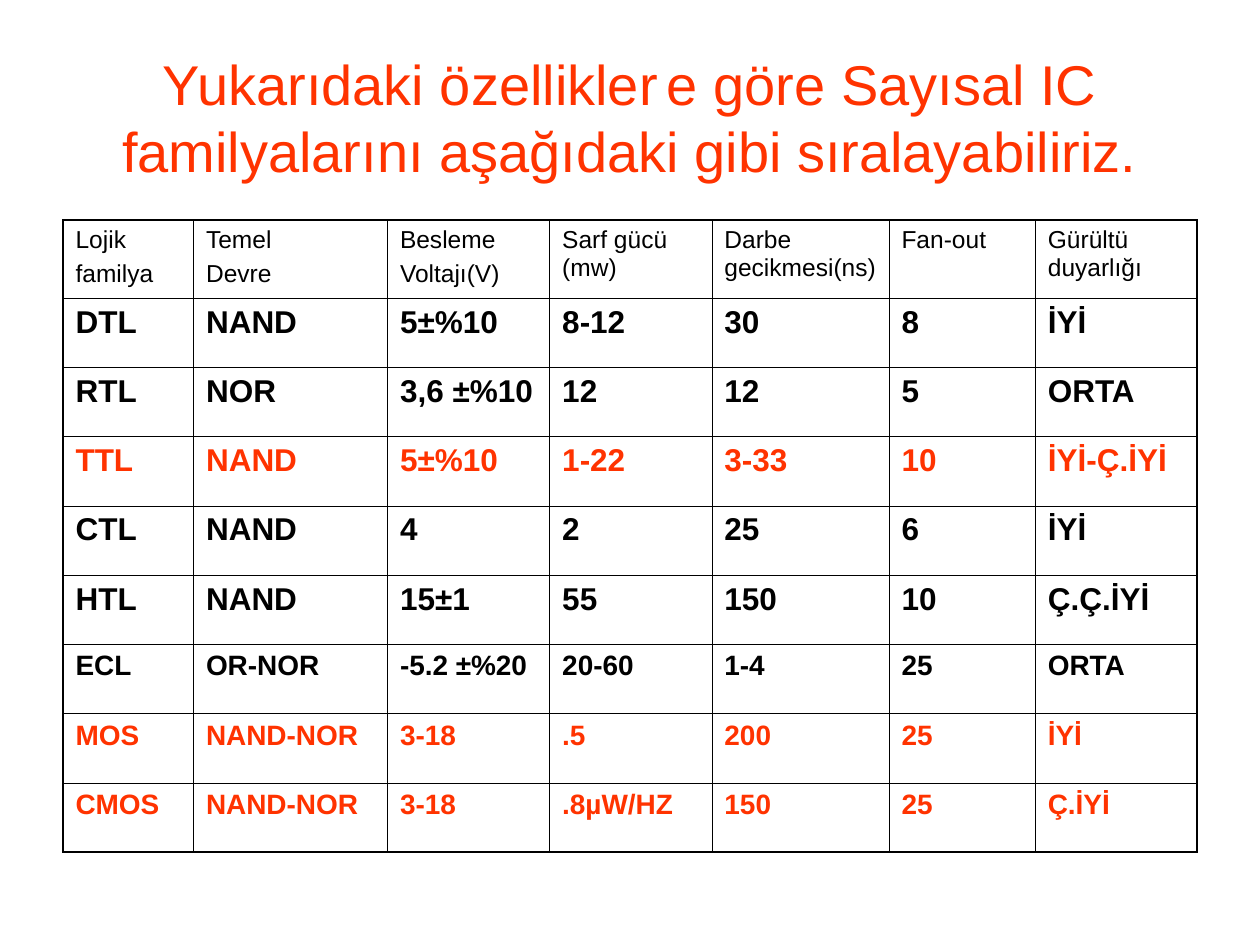
"""Build a slide that ranks the digital IC families in a table."""
from collections import namedtuple
from lxml.etree import SubElement
from pptx import Presentation
from pptx.dml.color import RGBColor
from pptx.enum.text import MSO_ANCHOR, MSO_AUTO_SIZE, PP_ALIGN
from pptx.oxml.ns import qn
from pptx.util import Cm, Pt

Theme = namedtuple("Theme", "font red black title head large small thin thick")
theme = Theme("Arial", RGBColor(255, 51, 0), RGBColor(0, 0, 0),
              Pt(32), Pt(14), Pt(18), Pt(16), Pt(0.45), Pt(1.08))


def style(para, size, color, bold=False):
    for run in para.runs:
        run.font.name = theme.font
        run.font.size = size
        run.font.bold = bold
        run.font.color.rgb = color


def border(cell, side, width):
    line = SubElement(cell._tc.get_or_add_tcPr(), qn("a:ln" + side), w=str(width))
    fill = SubElement(line, qn("a:solidFill"))
    SubElement(fill, qn("a:srgbClr"), val=str(theme.black))


deck = Presentation()
deck.slide_width, deck.slide_height = Cm(25.4), Cm(19.05)
slide = deck.slides.add_slide(deck.slide_layouts[5])

title = slide.shapes.title
title.left, title.top, title.width, title.height = Cm(1.27), Cm(0.76), Cm(22.86), Cm(3.18)
frame = title.text_frame
frame.text = "Yukarıdaki özellikler\te göre Sayısal IC familyalarını aşağıdaki gibi sıralayabiliriz."
frame.word_wrap = True
frame.auto_size = MSO_AUTO_SIZE.NONE
frame.vertical_anchor = MSO_ANCHOR.MIDDLE
para = frame.paragraphs[0]
para.alignment = PP_ALIGN.CENTER
tabs = SubElement(para._p.get_or_add_pPr(), qn("a:tabLst"))
for stop in range(8):
    SubElement(tabs, qn("a:tab"), pos=str(Cm(2.54 * stop)), algn="l")
style(para, theme.title, theme.red)

rows = [
    ["Lojik\nfamilya", "Temel\nDevre", "Besleme\nVoltajı(V)", "Sarf gücü (mw)",
     "Darbe gecikmesi(ns)", "Fan-out", "Gürültü duyarlığı"],
    ["DTL", "NAND", "5±%10", "8-12", "30", "8", "İYİ"],
    ["RTL", "NOR", "3,6 ±%10", "12", "12", "5", "ORTA"],
    ["TTL", "NAND", "5±%10", "1-22", "3-33", "10", "İYİ-Ç.İYİ"],
    ["CTL", "NAND", "4", "2", "25", "6", "İYİ"],
    ["HTL", "NAND", "15±1", "55", "150", "10", "Ç.Ç.İYİ"],
    ["ECL", "OR-NOR", "-5.2 ±%20", "20-60", "1-4", "25", "ORTA"],
    ["MOS", "NAND-NOR", "3-18", ".5", "200", "25", "İYİ"],
    ["CMOS", "NAND-NOR", "3-18", ".8µW/HZ", "150", "25", "Ç.İYİ"],
]
widths = [2.63, 3.91, 3.27, 3.27, 3.57, 2.95, 3.26]
marked = {"TTL", "MOS", "CMOS"}
compact = {"ECL", "MOS", "CMOS"}
last_row, last_col = len(rows) - 1, len(widths) - 1

table = slide.shapes.add_table(len(rows), len(widths), Cm(1.27), Cm(4.44),
                               Cm(22.86), Cm(12.74)).table
table.first_row = False
table.horz_banding = False
for col, width in zip(table.columns, widths):
    col.width = Cm(width)

for r, texts in enumerate(rows):
    table.rows[r].height = Cm(11.17 / last_row) if r else Cm(1.57)
    color = theme.red if texts[0] in marked else theme.black
    size = theme.small if texts[0] in compact else theme.large
    if r == 0:
        size = theme.head
    for c, text in enumerate(texts):
        cell = table.cell(r, c)
        cell.text_frame.text = text
        for n, para in enumerate(cell.text_frame.paragraphs):
            if n:
                para.space_before = Pt(3.5)
            style(para, size, color, r > 0)
        edges = {"L": c == 0, "R": c == last_col, "T": r == 0, "B": r == last_row}
        for side, outer in edges.items():
            border(cell, side, theme.thick if outer else theme.thin)
        cell.fill.background()

deck.save("out.pptx")
